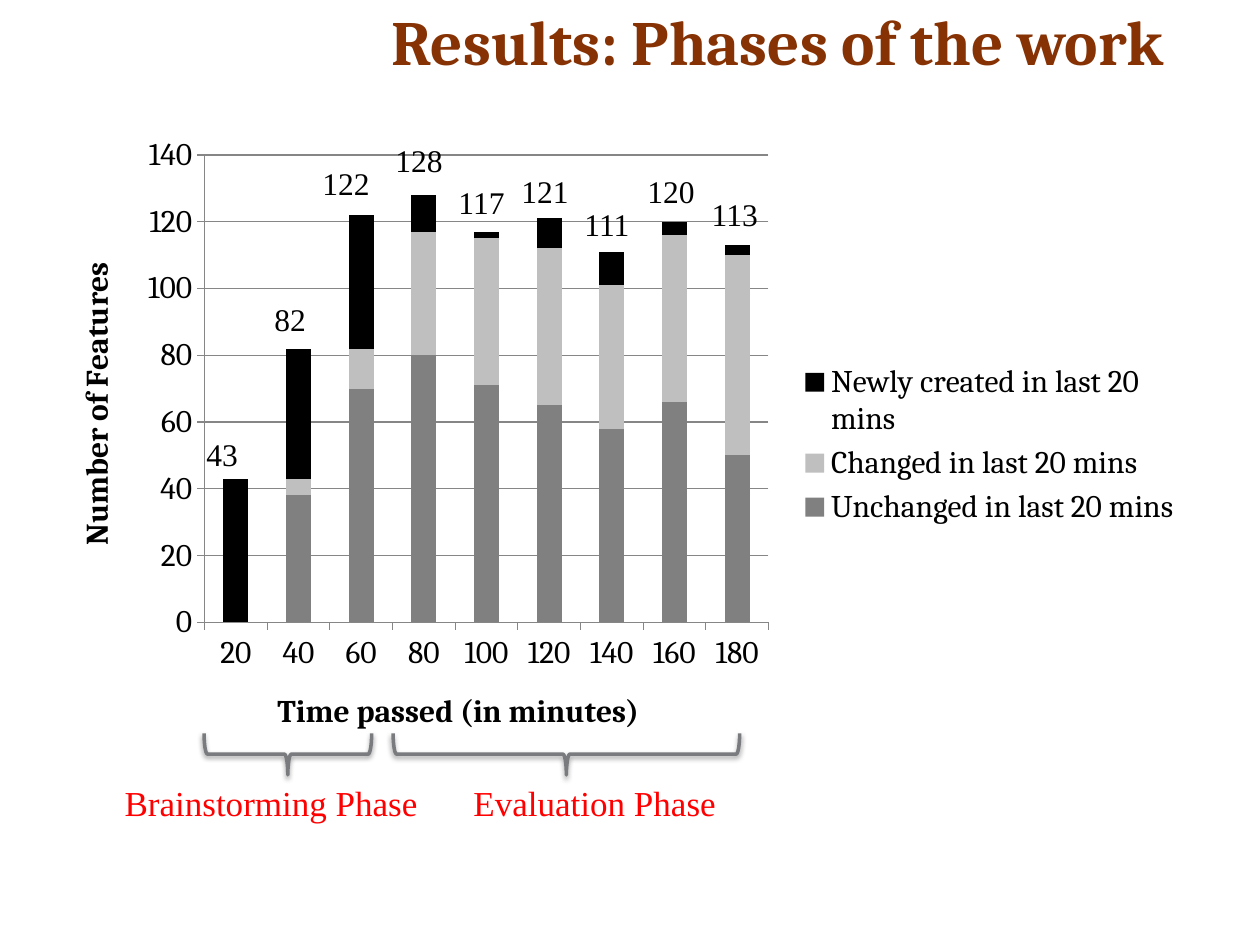
from lxml import etree
from pptx import Presentation
from pptx.chart.data import CategoryChartData
from pptx.dml.color import RGBColor
from pptx.enum.chart import XL_CHART_TYPE as CT, XL_LEGEND_POSITION as LP, XL_TICK_MARK as TM
from pptx.enum.shapes import MSO_SHAPE as MS
from pptx.enum.text import MSO_ANCHOR as MA, MSO_AUTO_SIZE as AS, PP_ALIGN as PA
from pptx.oxml import parse_xml
from pptx.oxml.ns import nsdecls, qn
from pptx.util import Inches, Pt

BROWN = RGBColor(0x86, 0x32, 0x04)
BLACK = RGBColor(0, 0, 0)
RED = RGBColor(0xFF, 0, 0)
DARK = RGBColor(0x80, 0x80, 0x80)
LIGHT = RGBColor(0xBF, 0xBF, 0xBF)
AXIS = RGBColor(0x86, 0x86, 0x86)
BRACE = RGBColor(0x79, 0x7B, 0x7E)
HEAD_FONT, LABEL_FONT = "Cambria", "Times New Roman"

TITLE = "Results: Phases of the work"
MINUTES = [str(m) for m in range(20, 181, 20)]
SERIES = [
    ("Unchanged in last 20 mins", [0, 38, 70, 80, 71, 65, 58, 66, 50], DARK),
    ("Changed in last 20 mins", [0, 5, 12, 37, 44, 47, 43, 50, 60], LIGHT),
    ("Newly created in last 20 mins", [43, 39, 40, 11, 2, 9, 10, 4, 3], BLACK),
]
TOTALS = [sum(v) for v in zip(*(values for _, values, _ in SERIES))]
TOTAL_SPOTS = [(1.54, 3.4), (2.08, 2.33), (2.46, 1.25), (3.04, 1.07), (3.54, 1.4),
               (4.04, 1.32), (4.54, 1.58), (5.04, 1.32), (5.55, 1.5)]
PHASES = [("Brainstorming Phase", 0.89, 2.55, 1.62, 1.33),
          ("Evaluation Phase", 3.66, 2.14, 3.12, 2.75)]
CHART_BOX = (0.38, 0.98, 9.08, 5)
PLOT_BOX = (1.62, 1.23, 4.48, 3.71)
LEGEND_BOX = (6.33, 2.83, 3.05, 1.4)
BRACE_TOP, BRACE_DEPTH = 5.82, 0.33


def style(font, size=18, name=HEAD_FONT, color=BLACK, bold=False):
    font.size, font.name, font.bold = Pt(size), name, bold
    font.color.rgb = color


def write(tf, text, align=PA.LEFT, **fmt):
    p = tf.paragraphs[0]
    p.alignment = align
    r = p.add_run()
    r.text = text
    style(r.font, **fmt)


def add_label(slide, text, left, top, width, height, **fmt):
    tf = slide.shapes.add_textbox(*map(Inches, (left, top, width, height))).text_frame
    tf.word_wrap = False
    tf.auto_size = AS.SHAPE_TO_FIT_TEXT
    write(tf, text, name=LABEL_FONT, **fmt)


def layout_xml(box, inner=False):
    cx, cy, cw, ch = CHART_BOX
    x, y, w, h = box
    parts = [("layoutTarget", "inner")] if inner else []
    parts += [("xMode", "edge"), ("yMode", "edge"),
              ("x", round((x - cx) / cw, 3)), ("y", round((y - cy) / ch, 3)),
              ("w", round(w / cw, 3)), ("h", round(h / ch, 3))]
    body = "".join(f'<c:{tag} val="{val}"/>' for tag, val in parts)
    return parse_xml(f'<c:layout {nsdecls("c")}><c:manualLayout>{body}</c:manualLayout></c:layout>')


def set_layout(element, index, layout):
    for old in element.findall(qn("c:layout")):
        element.remove(old)
    element.insert(index, layout)


def add_chart(slide):
    data = CategoryChartData()
    data.categories = MINUTES
    for name, values, _ in SERIES:
        data.add_series(name, values)
    chart = slide.shapes.add_chart(CT.COLUMN_STACKED, *map(Inches, CHART_BOX), data).chart
    style(chart.font)
    chart.has_title = False
    plot = chart.plots[0]
    plot.gap_width, plot.overlap, plot.vary_by_categories = 150, 100, False
    for s, (_, _, color) in zip(plot.series, SERIES):
        s.format.fill.solid()
        s.format.fill.fore_color.rgb = color
    axes = [(chart.category_axis, "Time passed (in minutes)"),
            (chart.value_axis, "Number of Features")]
    for axis, title in axes:
        write(axis.axis_title.text_frame, title, align=PA.CENTER, bold=True)
        axis.major_tick_mark = TM.OUTSIDE
        axis.format.line.color.rgb = AXIS
    value = chart.value_axis
    value.minimum_scale, value.maximum_scale, value.major_unit = 0, 140, 20
    value.has_major_gridlines = True
    value.major_gridlines.format.line.color.rgb = AXIS
    chart.has_legend = True
    legend = chart.legend
    legend.position, legend.include_in_layout = LP.RIGHT, False
    style(legend.font)
    area = chart.element.find(".//" + qn("c:plotArea"))
    set_layout(area, 0, layout_xml(PLOT_BOX, inner=True))
    set_layout(chart.element.find(".//" + qn("c:legend")), 1, layout_xml(LEGEND_BOX))


def add_brace(slide, left, length):
    x = left + (length - BRACE_DEPTH) / 2
    y = BRACE_TOP - (length - BRACE_DEPTH) / 2
    sp = slide.shapes.add_shape(MS.LEFT_BRACE, *map(Inches, (x, y, BRACE_DEPTH, length)))
    sp.rotation = 270
    sp.fill.background()
    sp.line.color.rgb, sp.line.width = BRACE, Pt(2)
    sp.shadow.inherit = False
    effects = sp.element.spPr.find(qn("a:effectLst"))
    shadow = etree.SubElement(effects, qn("a:outerShdw"), blurRad=str(Pt(3.1)),
                              dist=str(Pt(1.6)), dir="5400000", rotWithShape="0")
    color = etree.SubElement(shadow, qn("a:srgbClr"), val="000000")
    etree.SubElement(color, qn("a:alpha"), val="38000")


def main():
    prs = Presentation()
    prs.slide_width, prs.slide_height = Inches(10), Inches(7.5)
    slide = prs.slides.add_slide(prs.slide_layouts[5])
    title = slide.shapes.title
    title.left, title.top, title.width, title.height = map(Inches, (3.01, -0.03, 6.84, 0.7))
    tf = title.text_frame
    tf.vertical_anchor, tf.auto_size = MA.BOTTOM, AS.SHAPE_TO_FIT_TEXT
    write(tf, TITLE, size=36, color=BROWN, bold=True)
    add_chart(slide)
    for total, (left, top) in zip(TOTALS, TOTAL_SPOTS):
        text = str(total)
        add_label(slide, text, left, top, 0.2 + 0.125 * len(text), 0.4)
    for name, left, width, brace_left, length in PHASES:
        add_brace(slide, brace_left, length)
        add_label(slide, name, left, 6.15, width, 0.44, size=20, color=RED)
    prs.save("out.pptx")


if __name__ == "__main__":
    main()
